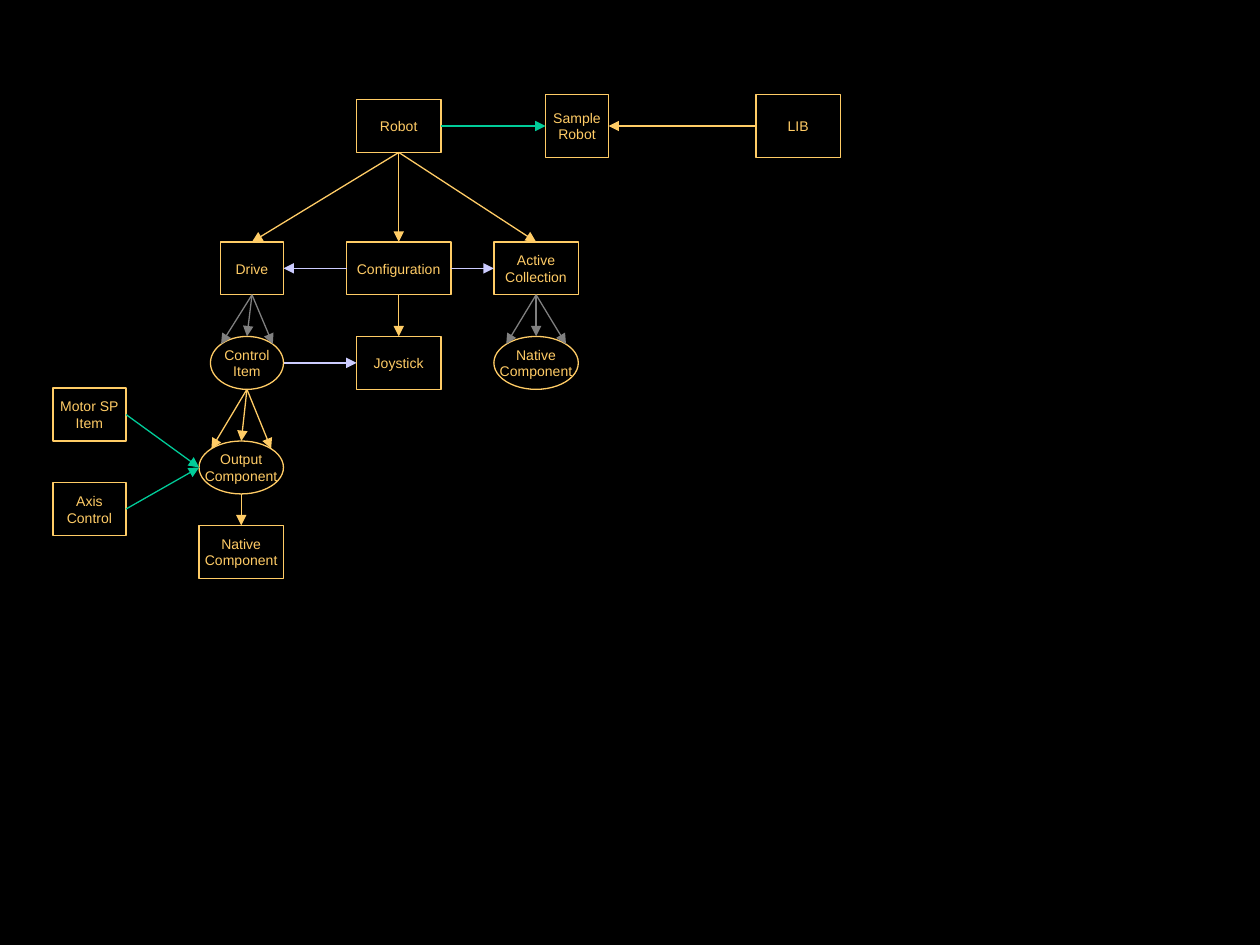
import pptx
import pptx.dml.color
import pptx.enum.shapes
import pptx.enum.text
import pptx.util
import lxml.etree
from pptx.oxml.ns import qn

Inches = pptx.util.Inches
SHAPE = pptx.enum.shapes.MSO_SHAPE
RECT, OVAL = SHAPE.RECTANGLE, SHAPE.OVAL

THEME = {
    "background": "000000", "amber": "FFCC66", "green": "00CC99",
    "lilac": "CCCCFF", "gray": "808080",
    "font": "Arial", "size": pptx.util.Pt(8), "line": pptx.util.Pt(0.75),
}

# Connection sites as (index, x share, y share) of the shape
SITES = {
    RECT: {"top": (0, 0.5, 0), "left": (1, 0, 0.5),
           "bottom": (2, 0.5, 1), "right": (3, 1, 0.5)},
    OVAL: {"top": (0, 0.5, 0), "top left": (1, 0.146, 0.146), "left": (2, 0, 0.5),
           "bottom": (4, 0.5, 1), "right": (6, 1, 0.5), "top right": (7, 0.854, 0.146)},
}


def color(name):
    return pptx.dml.color.RGBColor.from_string(THEME[name])


def site(box, side):
    index, across, down = SITES[box.auto_shape_type][side]
    return index, int(box.left + across * box.width), int(box.top + down * box.height)


deck = pptx.Presentation()
deck.slide_width, deck.slide_height = Inches(10), Inches(7.5)
page = deck.slides.add_slide(deck.slide_layouts[6])
page.background.fill.solid()
page.background.fill.fore_color.rgb = color("background")

# Boxes: key, kind, label, left, top, width, height
ROW = 0.42
NODES = [
    ("robot", RECT, "Robot", 2.83, 0.79, 0.67, ROW),
    ("sample", RECT, "Sample\nRobot", 4.33, 0.75, 0.5, 0.5),
    ("library", RECT, "LIB", 6, 0.75, 0.67, 0.5),
    ("drive", RECT, "Drive", 1.75, 1.92, 0.5, ROW),
    ("configuration", RECT, "Configuration", 2.75, 1.92, 0.83, ROW),
    ("collection", RECT, "Active\nCollection", 3.92, 1.92, 0.67, ROW),
    ("control", OVAL, "Control\nItem", 1.67, 2.67, 0.58, ROW),
    ("joystick", RECT, "Joystick", 2.83, 2.67, 0.67, ROW),
    ("members", OVAL, "Native\nComponent", 3.92, 2.67, 0.67, ROW),
    ("output", OVAL, "Output\nComponent", 1.58, 3.5, 0.67, ROW),
    ("native", RECT, "Native\nComponent", 1.58, 4.17, 0.67, ROW),
    ("motor", RECT, "Motor SP\nItem", 0.42, 3.08, 0.58, ROW),
    ("axis", RECT, "Axis\nControl", 0.42, 3.83, 0.58, ROW),
]
boxes = {}
for key, kind, label, *place in NODES:
    box = page.shapes.add_shape(kind, *map(Inches, place))
    box.shadow.inherit = False
    box.fill.background()
    box.line.color.rgb = color("amber")
    box.line.width = THEME["line"]
    frame = box.text_frame
    frame.text = label
    frame.word_wrap = False
    frame.vertical_anchor = pptx.enum.text.MSO_ANCHOR.MIDDLE
    for para in frame.paragraphs:
        para.alignment = pptx.enum.text.PP_ALIGN.CENTER
        for span in para.runs:
            span.font.name, span.font.size = THEME["font"], THEME["size"]
            span.font.color.rgb = color("amber")
    boxes[key] = box

# Arrows: start box, side, end box, side, color
ARROWS = [
    ("robot", "right", "sample", "left", "green"),
    ("library", "left", "sample", "right", "amber"),
    ("configuration", "left", "drive", "right", "lilac"),
    ("configuration", "right", "collection", "left", "lilac"),
    ("configuration", "bottom", "joystick", "top", "amber"),
    ("control", "right", "joystick", "left", "lilac"),
    ("output", "bottom", "native", "top", "amber"),
    ("motor", "right", "output", "left", "green"),
    ("axis", "right", "output", "left", "green"),
]
# The robot owns three parts
for part in ("drive", "configuration", "collection"):
    ARROWS.append(("robot", "bottom", part, "top", "amber"))
# One-to-many links fan out into three arrows
for owner, items, tone in (("drive", "control", "gray"),
                           ("collection", "members", "gray"),
                           ("control", "output", "amber")):
    for side in ("top left", "top", "top right"):
        ARROWS.append((owner, "bottom", items, side, tone))

for start, start_side, end, end_side, tone in ARROWS:
    start_index, x1, y1 = site(boxes[start], start_side)
    end_index, x2, y2 = site(boxes[end], end_side)
    arrow = page.shapes.add_connector(
        pptx.enum.shapes.MSO_CONNECTOR.STRAIGHT, x1, y1, x2, y2)
    arrow.line.color.rgb = color(tone)
    arrow.line.width = THEME["line"]
    properties = arrow.element.spPr
    lxml.etree.SubElement(properties.find(qn("a:ln")), qn("a:tailEnd"), type="triangle")
    lxml.etree.SubElement(properties, qn("a:effectLst"))
    # Glue both ends; ovals have eight sites, so the index is set in XML
    glue = arrow.element.find(".//" + qn("p:cNvCxnSpPr"))
    for tag, key, index in (("a:stCxn", start, start_index), ("a:endCxn", end, end_index)):
        lxml.etree.SubElement(glue, qn(tag), id=str(boxes[key].shape_id), idx=str(index))

deck.save("out.pptx")
